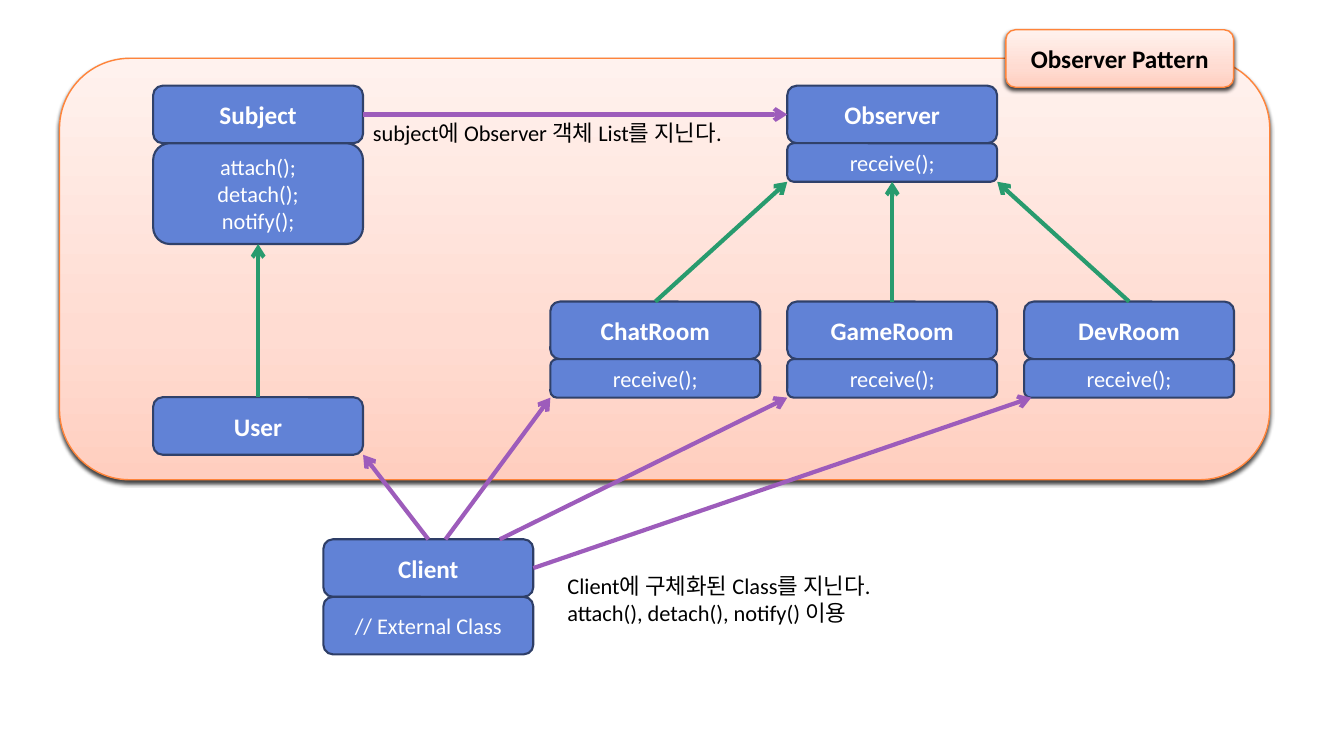
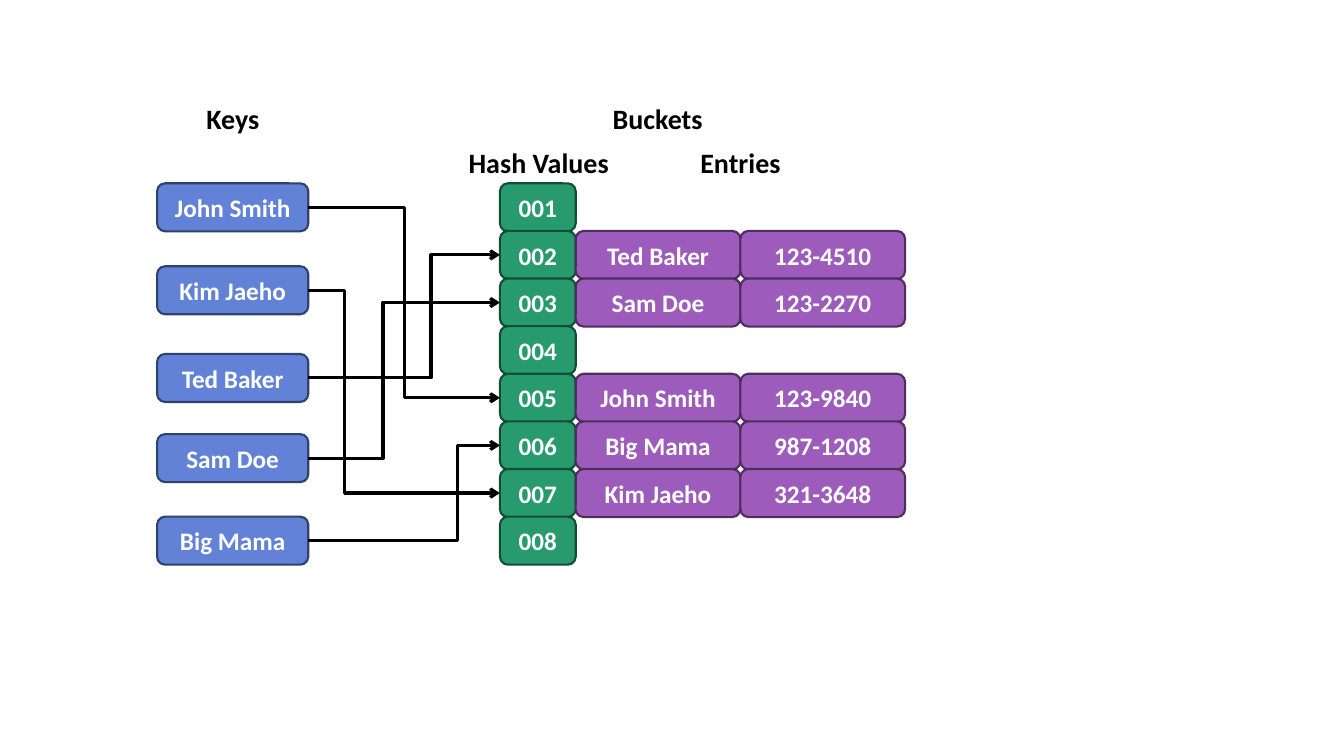
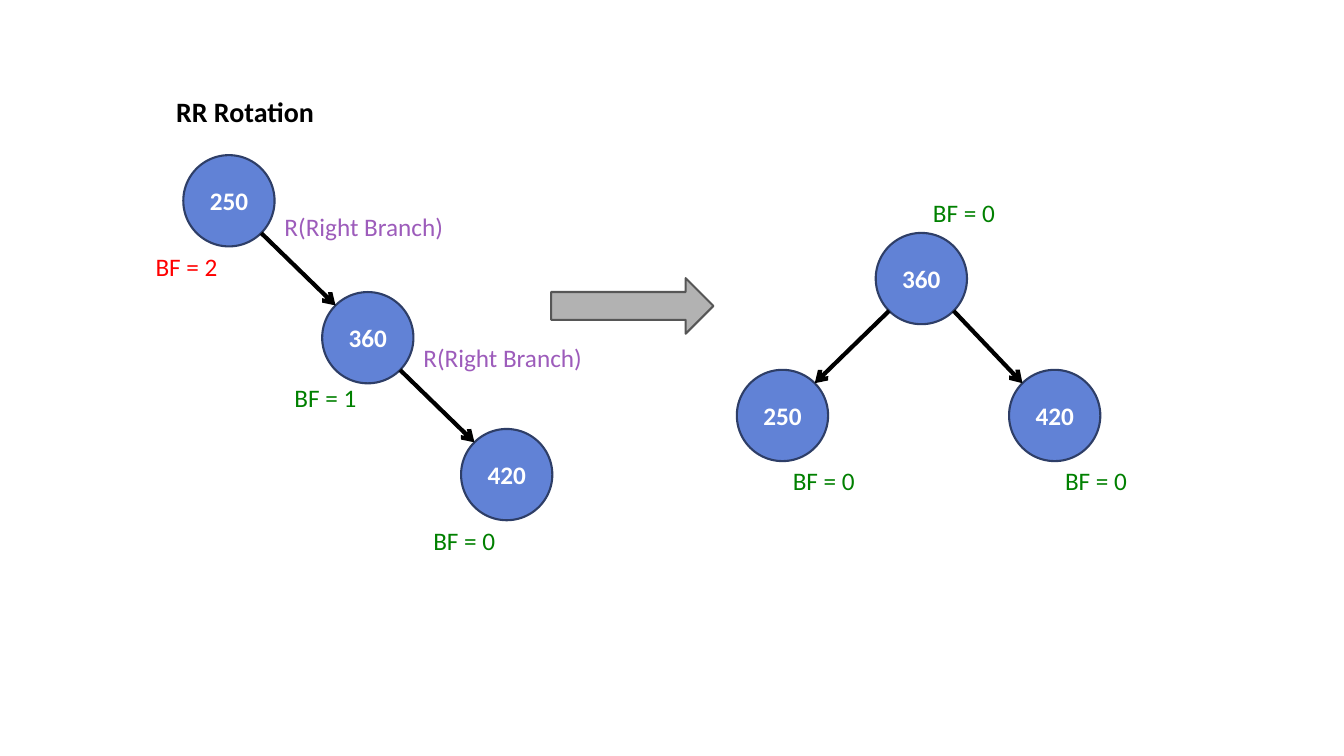
from copy import deepcopy
from dataclasses import dataclass
from math import sqrt

from lxml import etree
from pptx import Presentation
from pptx.dml.color import RGBColor
from pptx.enum.shapes import MSO_CONNECTOR, MSO_SHAPE
from pptx.enum.text import MSO_ANCHOR, MSO_AUTO_SIZE, PP_ALIGN
from pptx.oxml.ns import qn
from pptx.util import Cm, Pt

ROUNDED = MSO_SHAPE.ROUNDED_RECTANGLE
SOFT_CELL = MSO_SHAPE.FLOWCHART_ALTERNATE_PROCESS
CIRCLE = MSO_SHAPE.OVAL
BLOCK_ARROW = MSO_SHAPE.RIGHT_ARROW
STRAIGHT, ELBOW = MSO_CONNECTOR.STRAIGHT, MSO_CONNECTOR.ELBOW
LEFT, CENTER = PP_ALIGN.LEFT, PP_ALIGN.CENTER
TOP, MIDDLE = MSO_ANCHOR.TOP, MSO_ANCHOR.MIDDLE
FIT_SHAPE = MSO_AUTO_SIZE.SHAPE_TO_FIT_TEXT

FONT = "Calibri"
BLACK, WHITE = "000000", "FFFFFF"
BLUE, NAVY, DEEP_NAVY = "6182D6", "30416A", "2E3E67"
GREEN, DARK_GREEN = "289B6E", "144D37"
PURPLE, DARK_PURPLE = "9D5CBB", "4E2E5D"
GRAY, DARK_GRAY = "B2B2B2", "565656"
ORANGE = "FF843A"
BALANCED, UNBALANCED = "008000", "FF0000"
PEACH_STOPS = [(0, "FFCEBF"), (0.35, "FFDCD2"), (1, "FFF2EE")]


@dataclass
class Box:
    """A rectangle in centimetres."""
    left: float
    top: float
    width: float
    height: float

    @property
    def right(self):
        return self.left + self.width

    @property
    def bottom(self):
        return self.top + self.height

    @property
    def center(self):
        return self.left + self.width / 2

    @property
    def middle(self):
        return self.top + self.height / 2

    def lengths(self):
        return [Cm(value) for value in (self.left, self.top, self.width, self.height)]


# Shared building blocks

def rgb(value):
    return RGBColor.from_string(value)


def write_text(shape, text, size=18, color=WHITE, bold=False, align=CENTER,
               anchor=MIDDLE, wrap=True):
    frame = shape.text_frame
    frame.word_wrap = wrap
    frame.vertical_anchor = anchor
    for index, line in enumerate(text.split("\n")):
        para = frame.add_paragraph() if index else frame.paragraphs[0]
        para.alignment = align
        span = para.add_run()
        span.text = line
        span.font.name = FONT
        span.font.size = Pt(size)
        span.font.bold = bold
        span.font.color.rgb = rgb(color)


def add_label(page, box, text, **text_format):
    label = page.shapes.add_textbox(*box.lengths())
    write_text(label, text, **{"color": BLACK, "align": LEFT, "anchor": TOP, **text_format})
    label.text_frame.auto_size = FIT_SHAPE


def add_heading(page, box, text):
    add_label(page, box, text, size=20, bold=True, wrap=False)


def add_block(page, kind, box, fill=BLUE, line=NAVY, text="", line_width=1.5, **text_format):
    block = page.shapes.add_shape(kind, *box.lengths())
    block.shadow.inherit = False
    block.fill.solid()
    block.fill.fore_color.rgb = rgb(fill)
    block.line.color.rgb = rgb(line)
    block.line.width = Pt(line_width)
    if text:
        write_text(block, text, **{"bold": True, **text_format})
    return block


def add_peach_block(page, kind, box, text=""):
    block = add_block(page, kind, box, line=ORANGE, text=text, line_width=1, color=BLACK)
    properties = block.element.spPr
    # Three-stop gradient, running upwards
    block.fill.gradient()
    block.fill.gradient_angle = 90
    stop_list = properties.find(qn("a:gradFill")).find(qn("a:gsLst"))
    stop_list.append(deepcopy(stop_list[-1]))
    for stop, (position, color) in zip(block.fill.gradient_stops, PEACH_STOPS):
        stop.position = position
        stop.color.rgb = rgb(color)
    # Soft shadow below
    shadow = etree.SubElement(properties.find(qn("a:effectLst")), qn("a:outerShdw"),
                              blurRad=str(Pt(3)), dist=str(Pt(2)), dir="5400000",
                              rotWithShape="0")
    shade = etree.SubElement(shadow, qn("a:srgbClr"), val=BLACK)
    etree.SubElement(shade, qn("a:alpha"), val="75000")


def add_arrow(page, start, end, color=BLACK, width=3, turn=None):
    """Draw a straight arrow, or an elbow that turns at a share of its width."""
    kind = STRAIGHT if turn is None else ELBOW
    arrow = page.shapes.add_connector(kind, *[Cm(value) for value in (*start, *end)])
    arrow.line.color.rgb = rgb(color)
    arrow.line.width = Pt(width)
    properties = arrow.element.spPr
    etree.SubElement(properties.find(qn("a:ln")), qn("a:tailEnd"), type="arrow")
    etree.SubElement(properties, qn("a:effectLst"))
    if turn is not None:
        guides = properties.find(qn("a:prstGeom")).find(qn("a:avLst"))
        etree.SubElement(guides, qn("a:gd"), name="adj1", fmla=f"val {round(turn * 100000)}")


# Observer pattern: class diagram

CLASS_WIDTH, NAME_HEIGHT, METHOD_HEIGHT = 5.29, 1.45, 0.97


def add_class(page, left, top, name, methods="", methods_height=0, line=NAVY):
    """Draw a class and return the box around its name and methods."""
    name_box = Box(left, top, CLASS_WIDTH, NAME_HEIGHT)
    add_block(page, ROUNDED, name_box, line=line, text=name)
    if methods:
        methods_box = Box(left, name_box.bottom, CLASS_WIDTH, methods_height)
        add_block(page, ROUNDED, methods_box, line=line, text=methods, size=16, bold=False)
    return Box(left, top, CLASS_WIDTH, NAME_HEIGHT + methods_height)


def draw_observer_pattern(page, panel):
    add_peach_block(page, SOFT_CELL, panel)
    add_peach_block(page, ROUNDED, Box(panel.right - 6.65, panel.top - 0.72, 5.74, NAME_HEIGHT),
                    "Observer Pattern")

    # Classes
    class_top, room_top = panel.top + 0.69, panel.top + 6.13
    subject_left, room_left, room_step = panel.left + 2.36, panel.left + 12.37, 5.97
    subject = add_class(page, subject_left, class_top, "Subject",
                        "attach();\ndetach();\nnotify();", 2.54)
    user = add_class(page, subject_left, panel.top + 8.54, "User")
    observer = add_class(page, room_left + room_step, class_top, "Observer",
                         "receive();", METHOD_HEIGHT)
    chat, game, dev = [
        add_class(page, room_left + index * room_step, room_top, name,
                  "receive();", METHOD_HEIGHT)
        for index, name in enumerate(["ChatRoom", "GameRoom", "DevRoom"])]
    client = add_class(page, panel.left + 6.65, panel.bottom + 1.5, "Client",
                       "// External Class", NAME_HEIGHT, DEEP_NAVY)

    # Inheritance
    for child, tip in [(chat, (observer.left, observer.bottom)),
                       (game, (observer.center, observer.bottom)),
                       (dev, (observer.right, observer.bottom)),
                       (user, (subject.center, subject.bottom))]:
        add_arrow(page, (child.center, child.top), tip, GREEN)

    # References
    half_name = NAME_HEIGHT / 2
    link_height = subject.top + half_name
    for start, tip in [
            ((subject.right, link_height), (observer.left, link_height)),
            ((client.center, client.top), (user.right, user.bottom)),
            ((client.center + 0.43, client.top), (chat.left, chat.bottom)),
            ((client.center + 1.8, client.top), (game.left, game.bottom)),
            ((client.right, client.top + half_name), (dev.left + 0.18, dev.bottom))]:
        add_arrow(page, start, tip, PURPLE)

    # Explanations
    add_label(page, Box(subject.right, link_height, 9.65, 0.91),
              "subject에 Observer 객체 List를 지닌다.", size=16)
    add_label(page, Box(client.right + 0.61, client.top + 0.71, 9.55, 1.6),
              "Client에 구체화된 Class를 지닌다.\nattach(), detach(), notify() 이용", size=16)


# Hash table: keys, hash values and entries

CELL_HEIGHT, ROW_STEP = 1.21, 1.2
KEY_WIDTH, HASH_WIDTH, ENTRY_WIDTH = 3.81, 1.91, 4.15
ENTRIES = {2: ("Ted Baker", "123-4510"), 3: ("Sam Doe", "123-2270"),
           5: ("John Smith", "123-9840"), 6: ("Big Mama", "987-1208"),
           7: ("Kim Jaeho", "321-3648")}
# Name, distance from the top of the table, share of the way where its arrow turns
KEYS = [("John Smith", 0, 0.5), ("Kim Jaeho", 2.09, 0.19), ("Ted Baker", 4.3, 0.64),
        ("Sam Doe", 6.32, 0.39), ("Big Mama", 8.4, 0.78)]


def draw_hash_table(page, area):
    hash_left = area.right - 2 * ENTRY_WIDTH - HASH_WIDTH
    entry_left = hash_left + HASH_WIDTH

    # Headings
    for text, left, rise, width in [("Keys", area.left + 0.99, 2.18, 1.85),
                                    ("Buckets", entry_left + 0.68, 2.18, 2.79),
                                    ("Hash Values", hash_left - 1.04, 1.09, 4.06),
                                    ("Entries", entry_left + 2.89, 1.09, 2.54)]:
        add_heading(page, Box(left, area.top - rise, width, 1.09), text)

    # Buckets
    row_of = {}
    for number in range(1, 9):
        row_top = area.top + (number - 1) * ROW_STEP
        hash_box = Box(hash_left, row_top, HASH_WIDTH, CELL_HEIGHT)
        add_block(page, SOFT_CELL, hash_box, GREEN, DARK_GREEN, f"{number:03}")
        for column, text in enumerate(ENTRIES.get(number, ())):
            entry_box = Box(entry_left + column * ENTRY_WIDTH, row_top, ENTRY_WIDTH, CELL_HEIGHT)
            add_block(page, SOFT_CELL, entry_box, PURPLE, DARK_PURPLE, text)
            row_of[text] = hash_box

    # Keys and their arrows
    for name, drop, turn in KEYS:
        key_box = Box(area.left, area.top + drop, KEY_WIDTH, CELL_HEIGHT)
        add_block(page, SOFT_CELL, key_box, text=name)
        add_arrow(page, (key_box.right, key_box.middle), (hash_left, row_of[name].middle),
                  width=2.25, turn=turn)


# RR rotation: trees before and after

NODE_SIZE = 2.3
RIM = NODE_SIZE / 2 * sqrt(0.5)


def add_node(page, left, top, value, factor, factor_shift, color=BALANCED):
    node = Box(left, top, NODE_SIZE, NODE_SIZE)
    add_block(page, CIRCLE, node, line=DEEP_NAVY, text=value)
    shift_right, shift_down = factor_shift
    add_label(page, Box(left + shift_right, top + shift_down, 2.08, 1.02),
              f"BF = {factor}", color=color, wrap=False)
    return node


def link_nodes(page, parent, child):
    side = 1 if child.left > parent.left else -1
    add_arrow(page, (parent.center + side * RIM, parent.middle + RIM),
              (child.center - side * RIM, child.middle - RIM))


def draw_chain(page, area):
    step_right, step_down = 3.5, 3.45
    nodes = [
        add_node(page, area.left + index * step_right, area.top + index * step_down,
                 value, 2 - index, (-0.95, drop), color)
        for index, (value, drop, color) in enumerate([
            ("250", 2.29, UNBALANCED), ("360", 2.16, BALANCED), ("420", 2.3, BALANCED)])]
    for parent, child, drop in zip(nodes, nodes[1:], (1.3, 1.14)):
        link_nodes(page, parent, child)
        add_label(page, Box(parent.right, parent.top + drop, 5, 1.02),
                  "R(Right Branch)", color=PURPLE)


def draw_balanced_tree(page, area):
    leaf_top = area.bottom - NODE_SIZE
    root = add_node(page, area.left + 3.5, area.top, "360", 0, (1.19, -1.02))
    for left, value in [(area.left, "250"), (area.right - NODE_SIZE, "420")]:
        leaf = add_node(page, left, leaf_top, value, 0, (1.16, 2.29))
        link_nodes(page, root, leaf)


def draw_rotation(page, area):
    add_heading(page, Box(area.left - 0.43, area.top - 1.65, 3.99, 1.09), "RR Rotation")
    draw_chain(page, area)
    add_block(page, BLOCK_ARROW, Box(area.left + 9.27, area.top + 3.1, 4.09, 1.4),
              GRAY, DARK_GRAY)
    draw_balanced_tree(page, Box(area.left + 13.95, area.top + 1.96, 9.16, 5.75))


# Deck

deck = Presentation()
deck.slide_width, deck.slide_height = Cm(33.87), Cm(19.05)
for draw, region in [(draw_observer_pattern, Box(1.5, 1.47, 30.5, 10.62)),
                     (draw_hash_table, Box(3.96, 4.62, 18.85, 9.61)),
                     (draw_rotation, Box(4.62, 3.91, 23.11, 9.2))]:
    draw(deck.slides.add_slide(deck.slide_layouts[6]), region)
deck.save("out.pptx")
